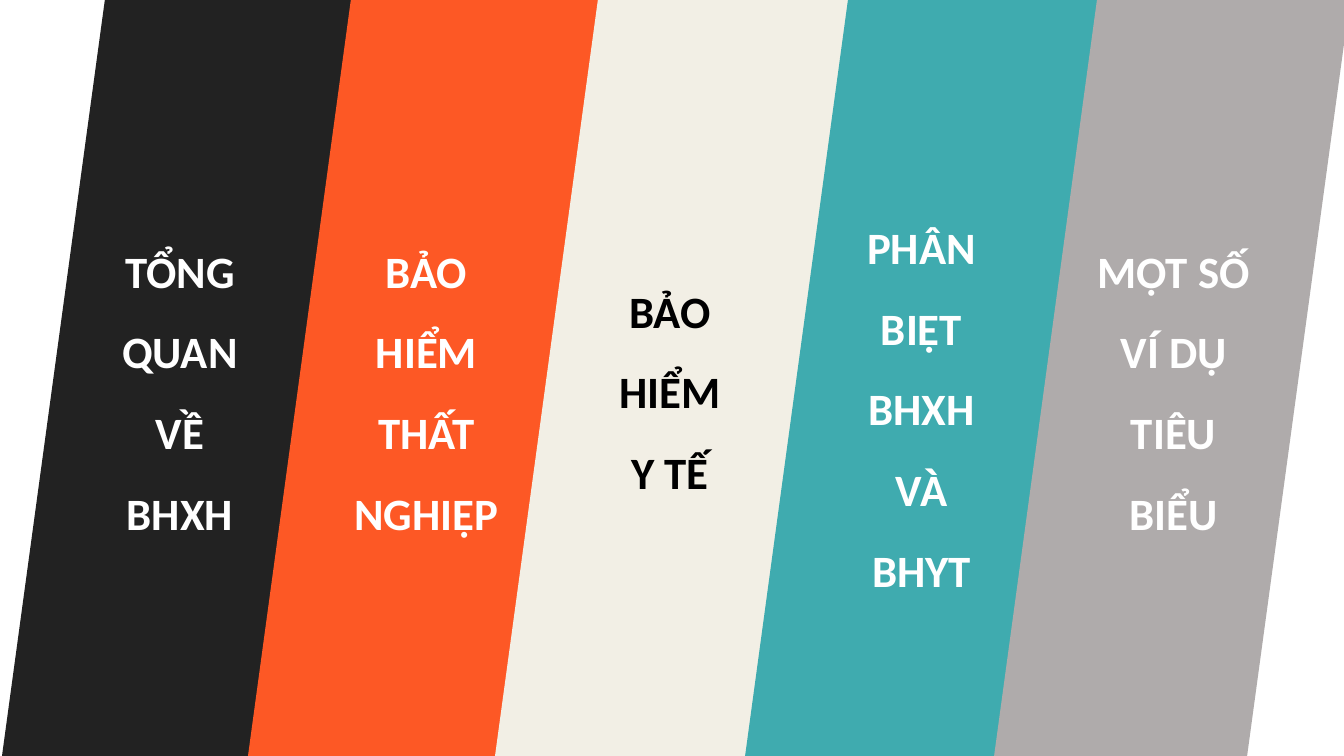
import pptx
import pptx.util
from pptx.dml.color import RGBColor
from pptx.enum.shapes import MSO_SHAPE
from pptx.enum.text import MSO_ANCHOR, MSO_AUTO_SIZE, PP_ALIGN
from pptx.util import Inches

BLACK = RGBColor(0x00, 0x00, 0x00)
WHITE = RGBColor(0xFF, 0xFF, 0xFF)
CHARCOAL = RGBColor(0x22, 0x22, 0x22)
ORANGE = RGBColor(0xFD, 0x58, 0x25)
CREAM = RGBColor(0xF2, 0xEF, 0xE5)
TEAL = RGBColor(0x3F, 0xAB, 0xAF)
GREY = RGBColor(0xAF, 0xAB, 0xAB)

PAGE_WIDTH, PAGE_HEIGHT = 13.33, 7.5
BAND_WIDTH = 3.53
BAND_SLANT = 0.289

# Band left, band colour, text colour, label, label area, label slant
BANDS = [
    (0.02, CHARCOAL, WHITE, "TỔNG QUAN VỀ BHXH", (0.62, 1.01, 2.33, 5.48), 0.293),
    (2.46, ORANGE, WHITE, "BẢO HIỂM THẤT NGHIỆP", (2.82, 1.01, 2.82, 5.48), 0.263),
    (4.91, CREAM, BLACK, "BẢO HIỂM Y TẾ", (5.4, 1.77, 2.49, 3.95), 0.29),
    (7.39, TEAL, WHITE, "PHÂN BIỆT BHXH VÀ BHYT", (7.73, 0.63, 2.82, 6.57), 0.263),
    (9.86, GREY, WHITE, "MỘT SỐ VÍ DỤ TIÊU BIỂU", (10.23, 1.12, 2.82, 5.26), 0.269),
]


def add_slanted(group, area, slant, fill=None):
    """Add a borderless parallelogram, unfilled unless a colour is given."""
    shape = group.shapes.add_shape(
        MSO_SHAPE.PARALLELOGRAM, *(Inches(length) for length in area))
    shape.adjustments[0] = slant
    shape.shadow.inherit = False
    shape.line.fill.background()
    if fill is None:
        shape.fill.background()
    else:
        shape.fill.solid()
        shape.fill.fore_color.rgb = fill
    return shape


def write_text(shape, text, *, color, size=32, font="Calibri", spacing=1.5):
    """Write one bold centred paragraph that wraps inside the shape."""
    frame = shape.text_frame
    frame.word_wrap = True
    frame.auto_size = MSO_AUTO_SIZE.SHAPE_TO_FIT_TEXT
    frame.vertical_anchor = MSO_ANCHOR.MIDDLE
    para = frame.paragraphs[0]
    para.alignment = PP_ALIGN.CENTER
    para.line_spacing = spacing
    span = para.add_run()
    span.text = text
    span.font.name = font
    span.font.size = pptx.util.Pt(size)
    span.font.bold = True
    span.font.color.rgb = color


def add_band(page, left, fill, text_color, text, label_area, label_slant):
    """Group a full-height coloured band with its label."""
    group = page.shapes.add_group_shape()
    add_slanted(group, (left, 0, BAND_WIDTH, PAGE_HEIGHT), BAND_SLANT, fill)
    label = add_slanted(group, label_area, label_slant)
    write_text(label, text, color=text_color)


def main():
    deck = pptx.Presentation()
    deck.slide_width = Inches(PAGE_WIDTH)
    deck.slide_height = Inches(PAGE_HEIGHT)

    # The page has no title, so it uses the blank layout
    page = deck.slides.add_slide(deck.slide_layouts[6])
    page.background.fill.solid()
    page.background.fill.fore_color.rgb = WHITE

    # Five section bands, left to right
    for band in BANDS:
        add_band(page, *band)

    deck.save("out.pptx")


main()
